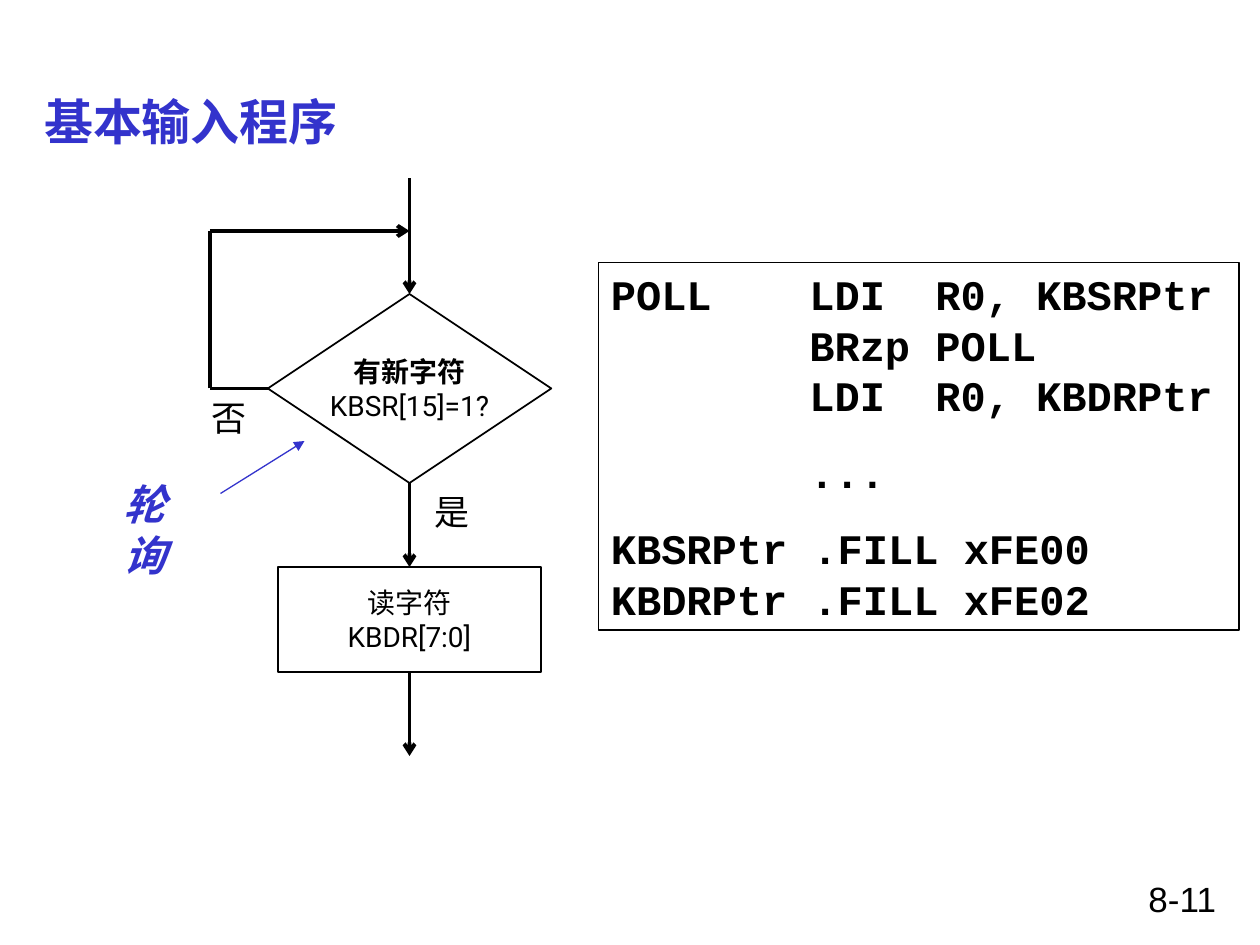
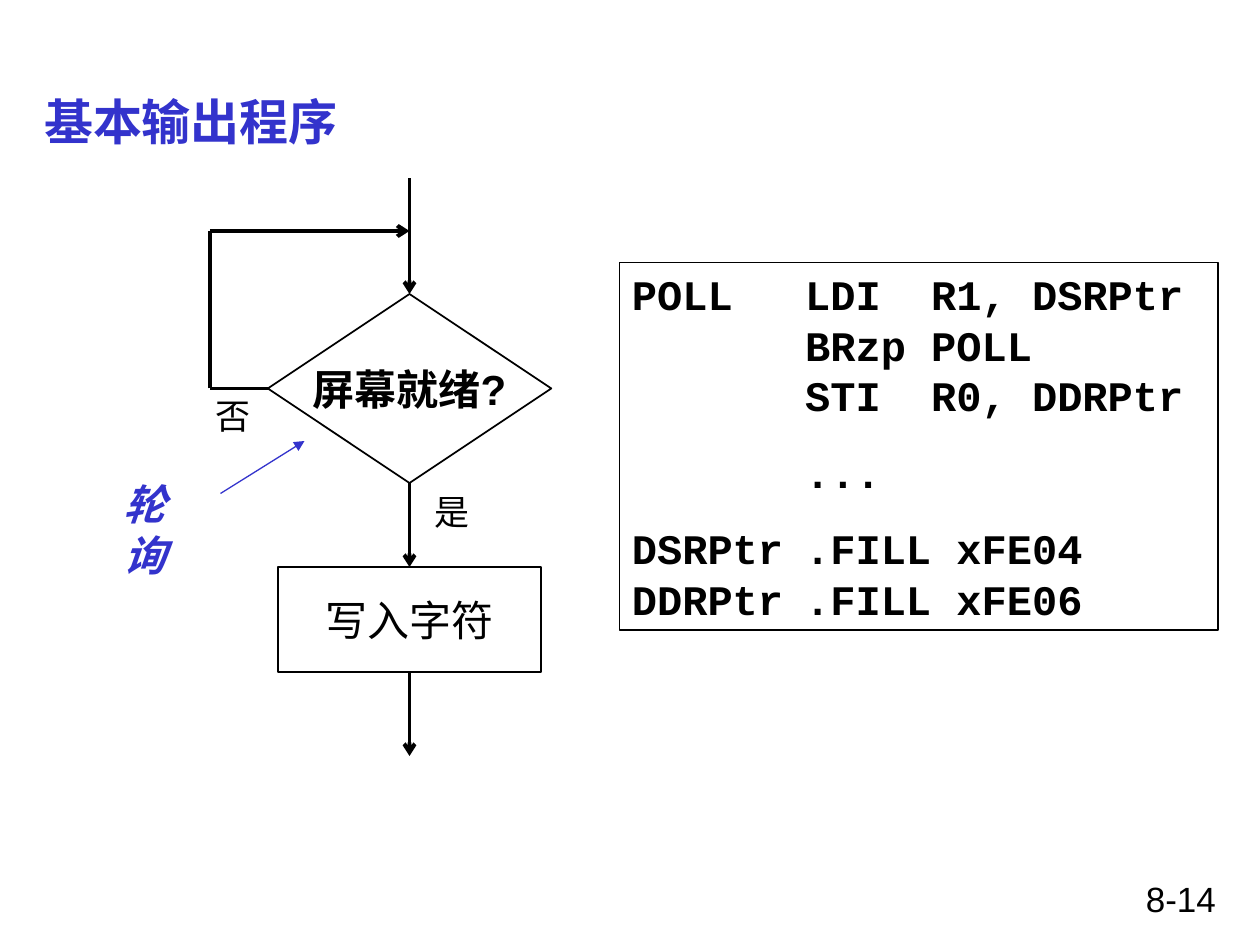
from dataclasses import dataclass
from typing import Optional

from lxml import etree
from pptx import Presentation
from pptx.dml.color import RGBColor
from pptx.enum.lang import MSO_LANGUAGE_ID
from pptx.enum.shapes import MSO_CONNECTOR, MSO_SHAPE
from pptx.enum.text import MSO_ANCHOR, MSO_AUTO_SIZE, PP_ALIGN
from pptx.oxml.ns import qn
from pptx.util import Pt

STRAIGHT = MSO_CONNECTOR.STRAIGHT
DIAMOND, RECTANGLE = MSO_SHAPE.DIAMOND, MSO_SHAPE.RECTANGLE
TOP, MIDDLE = MSO_ANCHOR.TOP, MSO_ANCHOR.MIDDLE
FIXED, GROW = MSO_AUTO_SIZE.NONE, MSO_AUTO_SIZE.SHAPE_TO_FIT_TEXT
LEFT, CENTER, RIGHT = PP_ALIGN.LEFT, PP_ALIGN.CENTER, PP_ALIGN.RIGHT
CHINESE = MSO_LANGUAGE_ID.SIMPLIFIED_CHINESE

EMU_PER_PX = 7620
COLORS = {"ink": "000000", "accent": "3333CC"}
SIDES = {"top": 0, "left": 1, "bottom": 2, "right": 3}
CODE_TAB = 165
TITLE_AREA = (30, 80, 1140, 70)
NUMBER_AREA = (860, 830, 310, 50)
DECISION_AREA = (255, 280, 270, 180)
ACTION_AREA = (265, 540, 250, 100)
YES_AREA = (402, 461, 58, 53)
POLLING_AREA = (86, 450, 103, 60)
FLOW_X, LOOP_X = 390, 200
START_Y, LOOP_Y, CHECK_Y, END_Y = 170, 220, 370, 720


@dataclass(frozen=True)
class TextStyle:
    font: str
    size: int
    color: str = "ink"
    bold: bool = False
    italic: bool = False


@dataclass(frozen=True)
class Line:
    text: str
    style: TextStyle


@dataclass(frozen=True)
class Layout:
    align: PP_ALIGN = CENTER
    anchor: MSO_ANCHOR = TOP
    wrap: bool = False
    fit: MSO_AUTO_SIZE = GROW
    space_before: int = 0
    tab: Optional[int] = None


@dataclass(frozen=True)
class Joint:
    shape: object
    side: str


@dataclass(frozen=True)
class Arrow:
    start: tuple[int, int]
    end: tuple[int, int]
    begin_joint: Optional[Joint] = None
    end_joint: Optional[Joint] = None
    head: Optional[str] = "arrow"
    color: str = "ink"
    width: float = 2.25


@dataclass(frozen=True)
class FlowSlide:
    title: str
    number: str
    decision: list[Line]
    action: list[Line]
    no_area: tuple[int, int, int, int]
    polling_font: str
    code_area: tuple[int, int, int, int]
    code: list[str]


TITLE = TextStyle("Arial", 28, "accent", bold=True)
LABEL = TextStyle("Arial", 20)
CODE = TextStyle("Courier New", 24, bold=True)
SMALL = TextStyle("Roboto", 16)

TITLE_LAYOUT = Layout(LEFT, MIDDLE, wrap=True, fit=FIXED)
NUMBER_LAYOUT = Layout(RIGHT, wrap=True, fit=FIXED)
NODE_LAYOUT = Layout(anchor=MIDDLE, fit=FIXED)
LABEL_LAYOUT = Layout()
WRAPPED_LABEL = Layout(wrap=True)
CODE_LAYOUT = Layout(LEFT, wrap=True, space_before=15, tab=CODE_TAB)

SLIDES = [
    FlowSlide(
        "基本输入程序",
        "8-11",
        [Line("有新字符", TextStyle("Arial", 16, bold=True)), Line("KBSR[15]=1?", SMALL)],
        [Line("读字符", SMALL), Line("KBDR[7:0]", SMALL)],
        (180, 372, 76, 53),
        "Karla",
        (570, 250, 610, 350),
        [
            "POLL\t LDI  R0, KBSRPtr\n\t BRzp POLL\n\t LDI  R0, KBDRPtr",
            "\t ...",
            "KBSRPtr .FILL xFE00\nKBDRPtr .FILL xFE02",
        ],
    ),
    FlowSlide(
        "基本输出程序",
        "8-14",
        [Line("屏幕就绪?", TextStyle("Arial", 24, bold=True))],
        [Line("写入字符", TextStyle("Roboto", 24))],
        (185, 370, 74, 53),
        "Arial",
        (590, 250, 570, 350),
        [
            "POLL\tLDI  R1, DSRPtr\n\tBRzp POLL\n\tSTI  R0, DDRPtr",
            "\t...",
            "DSRPtr\t.FILL xFE04\nDDRPtr\t.FILL xFE06",
        ],
    ),
]


def emu(*lengths: int) -> list[int]:
    return [length * EMU_PER_PX for length in lengths]


def color_of(name: str) -> RGBColor:
    return RGBColor.from_string(COLORS[name])


def set_all(target, values: dict) -> None:
    for name, value in values.items():
        setattr(target, name, value)


def write(box, lines: list[Line], layout: Layout) -> None:
    frame = box.text_frame
    set_all(frame, {
        "word_wrap": layout.wrap,
        "auto_size": layout.fit,
        "vertical_anchor": layout.anchor,
    })
    for index, line in enumerate(lines):
        para = frame.add_paragraph() if index else frame.paragraphs[0]
        set_all(para, {
            "text": line.text,
            "alignment": layout.align,
            "space_before": Pt(layout.space_before),
        })
        if layout.tab is not None:
            tabs = etree.SubElement(para._p.get_or_add_pPr(), qn("a:tabLst"))
            etree.SubElement(tabs, qn("a:tab"), pos=str(*emu(layout.tab)), algn="l")
        style = line.style
        for span in para.runs:
            set_all(span.font, {
                "name": style.font,
                "size": Pt(style.size),
                "bold": style.bold,
                "italic": style.italic,
                "language_id": CHINESE,
            })
            span.font.color.rgb = color_of(style.color)


def add_text(page, area: tuple, line: Line, layout: Layout) -> None:
    write(page.shapes.add_textbox(*emu(*area)), [line], layout)


def add_node(page, kind: MSO_SHAPE, area: tuple, lines: list[Line],
             layout: Layout = NODE_LAYOUT, width: float = 1):
    box = page.shapes.add_shape(kind, *emu(*area))
    box.shadow.inherit = False
    box.fill.background()
    box.line.color.rgb = color_of("ink")
    box.line.width = Pt(width)
    write(box, lines, layout)
    return box


def add_arrow(page, arrow: Arrow) -> None:
    connector = page.shapes.add_connector(STRAIGHT, *emu(*arrow.start, *arrow.end))
    if arrow.begin_joint:
        connector.begin_connect(arrow.begin_joint.shape, SIDES[arrow.begin_joint.side])
    if arrow.end_joint:
        connector.end_connect(arrow.end_joint.shape, SIDES[arrow.end_joint.side])
    connector.line.color.rgb = color_of(arrow.color)
    connector.line.width = Pt(arrow.width)
    if arrow.head:
        etree.SubElement(connector.line._get_or_add_ln(), qn("a:tailEnd"), type=arrow.head)
    etree.SubElement(connector._element.spPr, qn("a:effectLst"))


def add_flow(page, content: FlowSlide) -> None:
    decision = add_node(page, DIAMOND, DECISION_AREA, content.decision)
    action = add_node(page, RECTANGLE, ACTION_AREA, content.action)
    check_left, check_top, _, check_height = DECISION_AREA
    _, action_top, _, action_height = ACTION_AREA
    arrows = [
        Arrow((FLOW_X, check_top + check_height), (FLOW_X, action_top),
              Joint(decision, "bottom"), Joint(action, "top")),
        Arrow((FLOW_X, action_top + action_height), (FLOW_X, END_Y), Joint(action, "bottom")),
        Arrow((FLOW_X, START_Y), (FLOW_X, check_top), end_joint=Joint(decision, "top")),
        Arrow((check_left, CHECK_Y), (LOOP_X, CHECK_Y), Joint(decision, "left"), head=None),
        Arrow((LOOP_X, CHECK_Y), (LOOP_X, LOOP_Y), head=None),
        Arrow((LOOP_X, LOOP_Y), (FLOW_X, LOOP_Y)),
        Arrow((210, 470), (290, 420), head="triangle", color="accent", width=0.75),
    ]
    for arrow in arrows:
        add_arrow(page, arrow)


def add_page(deck, content: FlowSlide) -> None:
    page = deck.slides.add_slide(deck.slide_layouts[5])
    title = page.shapes.title
    set_all(title, dict(zip(("left", "top", "width", "height"), emu(*TITLE_AREA))))
    write(title, [Line(content.title, TITLE)], TITLE_LAYOUT)
    add_text(page, NUMBER_AREA, Line(content.number, LABEL), NUMBER_LAYOUT)
    add_flow(page, content)
    polling = TextStyle(content.polling_font, 24, "accent", bold=True, italic=True)
    add_text(page, YES_AREA, Line("是", LABEL), LABEL_LAYOUT)
    add_text(page, content.no_area, Line("否", LABEL), WRAPPED_LABEL)
    add_text(page, POLLING_AREA, Line("轮询", polling), LABEL_LAYOUT)
    code = [Line(text, CODE) for text in content.code]
    add_node(page, RECTANGLE, content.code_area, code, CODE_LAYOUT, 0.75)


def main() -> None:
    deck = Presentation()
    deck.slide_width, deck.slide_height = emu(1200, 900)
    for content in SLIDES:
        add_page(deck, content)
    deck.save("out.pptx")


if __name__ == "__main__":
    main()
